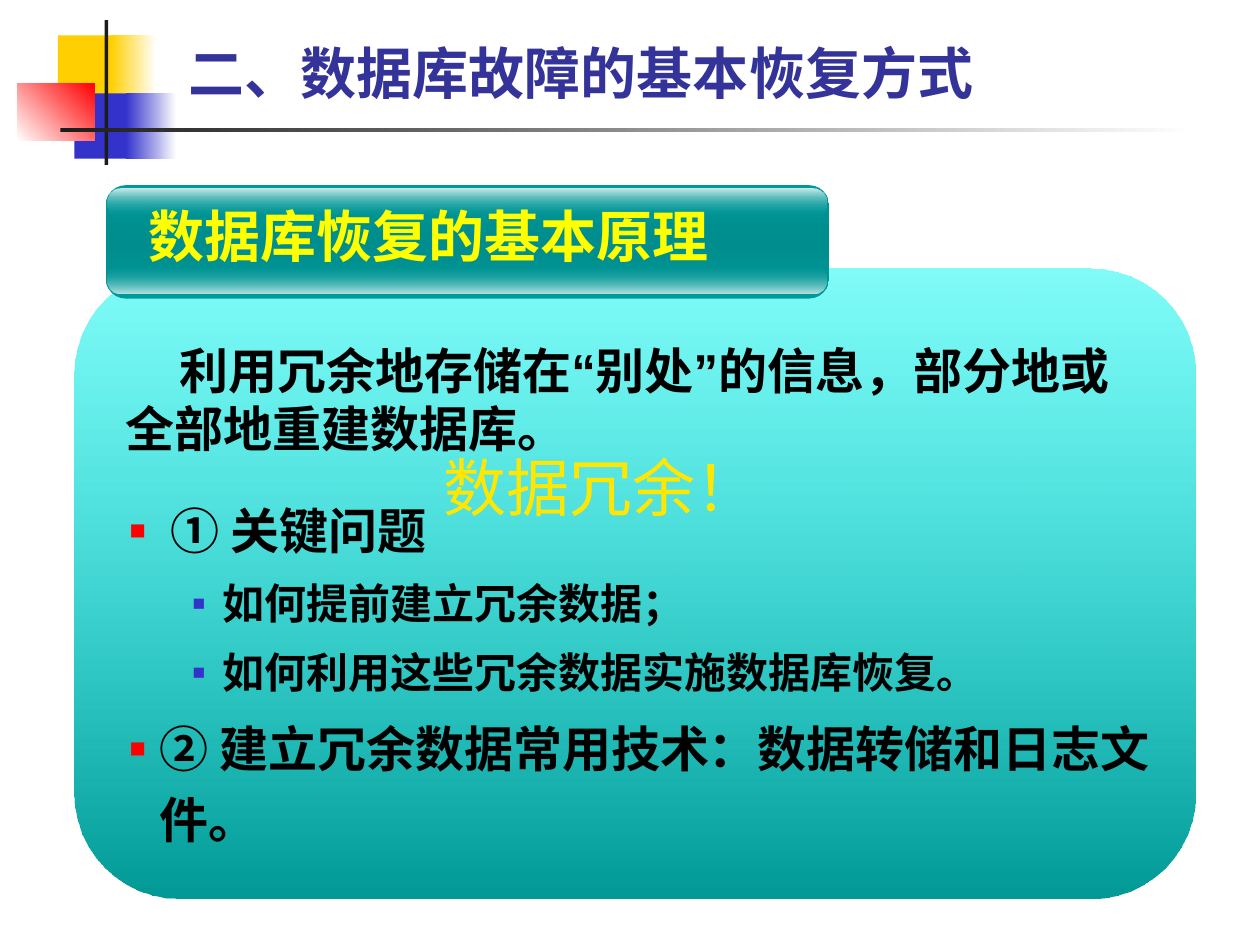
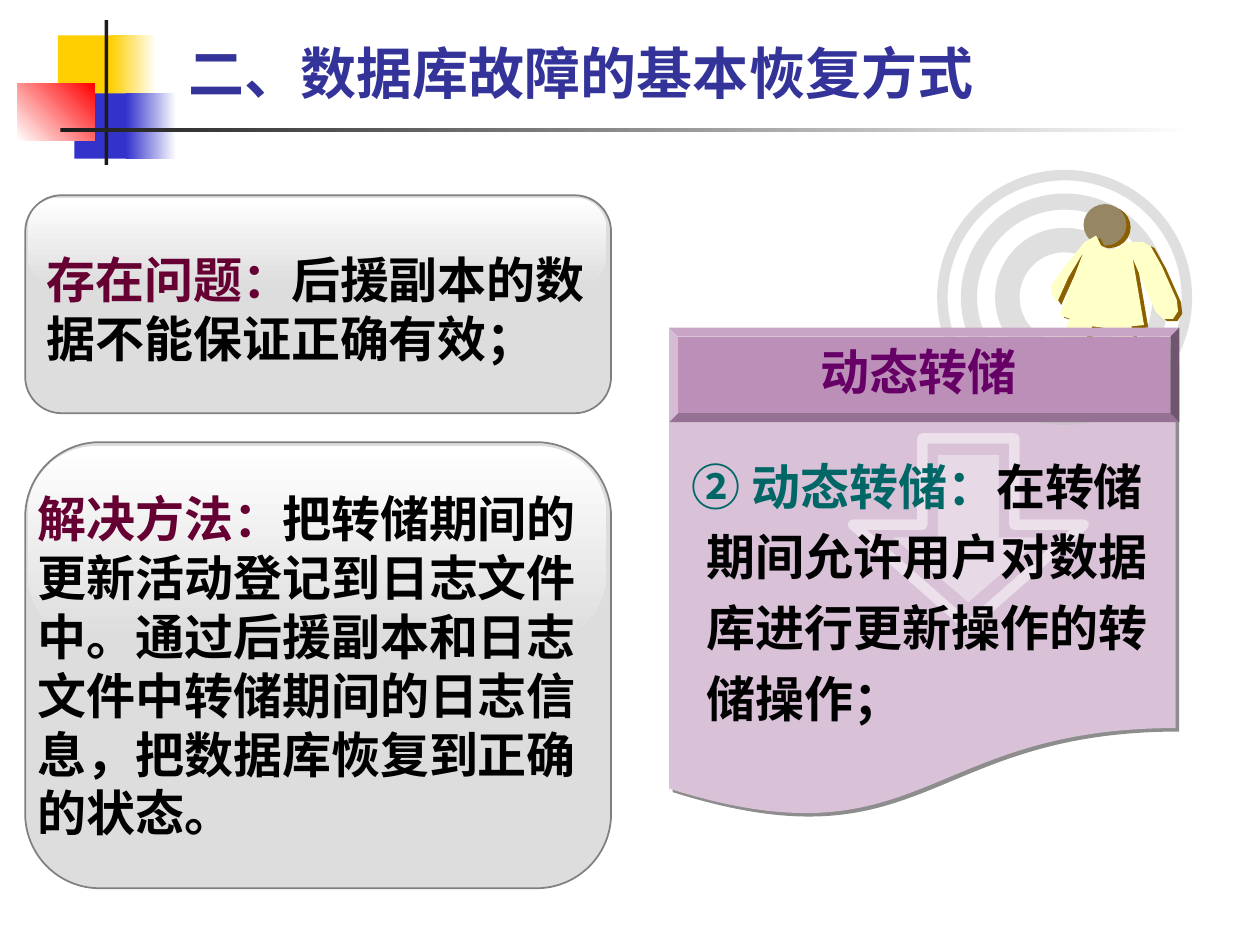
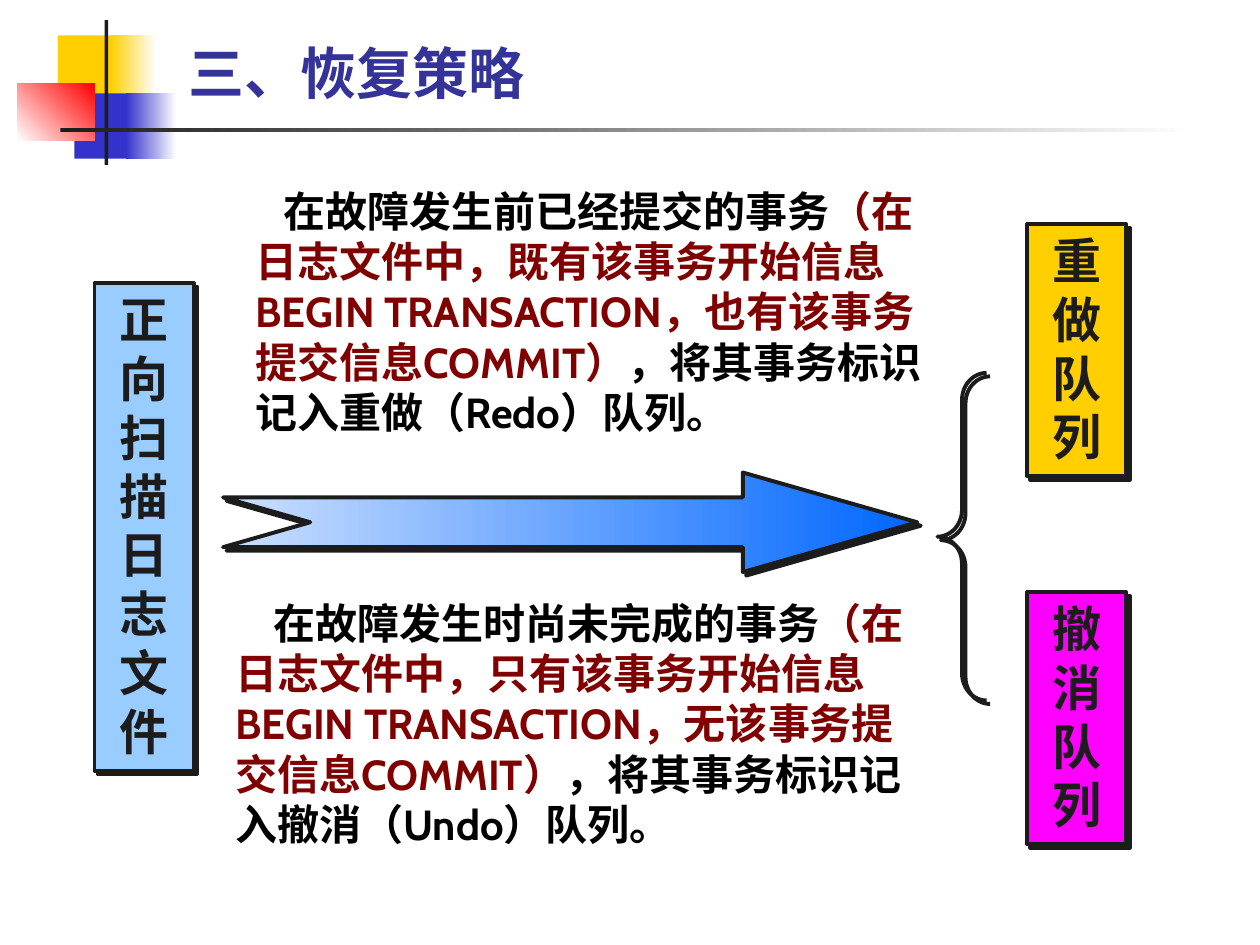
"""Build three slides on database recovery principles, dynamic dumps and strategy."""
from dataclasses import dataclass
from typing import Optional

from lxml.etree import SubElement
from pptx import Presentation
from pptx.dml.color import RGBColor
from pptx.enum.shapes import MSO_SHAPE as Form
from pptx.enum.text import MSO_ANCHOR as Anchor, PP_ALIGN as Align
from pptx.oxml.ns import qn
from pptx.util import Inches, Pt


@dataclass(frozen=True)
class Theme:
    ink: str = "1C1C1C"
    black: str = "000000"
    white: str = "FFFFFF"
    gold: str = "FFCF01"
    blue: str = "3333CC"
    red: str = "FF0000"
    title: str = "333399"
    teal: str = "009999"
    teal_middle: str = "008D8D"
    teal_low: str = "BEE5E5"
    teal_high: str = "CEEBEB"
    panel_top: str = "00F8F2"
    panel_bottom: str = "009A96"
    yellow: str = "FFFF00"
    callout: str = "FFE701"
    sheet: str = "D9C1D7"
    bevel: str = "BB8FB8"
    purple: str = "660066"
    term: str = "006666"
    label: str = "660033"
    card: str = "DDDDDD"
    card_edge: str = "808080"
    ring: str = "C0C0C0"
    head: str = "968664"
    body: str = "FFFFC8"
    figure_shade: str = "8A6000"
    scan: str = "99CCFF"
    undo: str = "FE00FE"
    arrow_start: str = "CDE1FF"
    arrow_end: str = "0066FF"
    log: str = "800000"
    sans: str = "Arial"
    text: str = "Cabin"
    heading: str = "Noto Sans CJK SC"
    title_size: int = 32
    body_size: int = 28
    detail_size: int = 24
    callout_size: int = 36


THEME = Theme()


@dataclass(frozen=True)
class Box:
    left: float
    top: float
    width: float
    height: float

    def lengths(self) -> tuple:
        return tuple(Inches(value) for value in (self.left, self.top, self.width, self.height))


@dataclass(frozen=True)
class Stop:
    color: str
    position: int = 0
    alpha: int = 100


@dataclass(frozen=True)
class Paint:
    stops: tuple
    angle: int = 0


@dataclass(frozen=True)
class Stroke:
    color: str
    width: float
    alpha: int = 100


@dataclass(frozen=True)
class Shadow:
    color: str
    alpha: int = 100
    angle: int = 45


@dataclass(frozen=True)
class Shape:
    box: Box
    form: Form = Form.RECTANGLE
    paint: Optional[Paint] = None
    stroke: Optional[Stroke] = None
    adjust: tuple = ()
    shadow: Optional[Shadow] = None
    rotation: int = 0


@dataclass(frozen=True)
class Span:
    text: str
    color: str = THEME.black
    font: str = THEME.text


@dataclass(frozen=True)
class Para:
    spans: tuple
    size: int = THEME.body_size
    bold: bool = True
    align: Align = Align.LEFT
    margin: float = 0
    indent: float = 0
    spacing: float = 1
    before: float = 0
    bullet: Optional[Stop] = None


def solid(color: str, alpha: int = 100) -> Paint:
    return Paint((Stop(color, 0, alpha),))


def fade(start: str, end: str, angle: int = 0, first: int = 100, last: int = 100) -> Paint:
    return Paint((Stop(start, 0, first), Stop(end, 100, last)), angle)


def add_alpha(color, alpha: int) -> None:
    if alpha < 100:
        SubElement(color, qn("a:alpha"), val=str(alpha * 1000))


def add_color(parent, color: str, alpha: int = 100) -> None:
    add_alpha(SubElement(parent, qn("a:srgbClr"), val=color), alpha)


def apply_paint(shape, paint: Optional[Paint]) -> None:
    properties = shape.element.spPr
    if paint is None:
        shape.fill.background()
    elif len(paint.stops) == 1:
        stop = paint.stops[0]
        shape.fill.solid()
        shape.fill.fore_color.rgb = RGBColor.from_string(stop.color)
        add_alpha(properties.find(qn("a:solidFill")).find(qn("a:srgbClr")), stop.alpha)
    else:
        shape.fill.gradient()
        gradient = properties.find(qn("a:gradFill"))
        gradient.find(qn("a:lin")).set("ang", str(paint.angle * 60000))
        stops = gradient.find(qn("a:gsLst"))
        for old_stop in list(stops):
            stops.remove(old_stop)
        for stop in paint.stops:
            entry = SubElement(stops, qn("a:gs"), pos=str(stop.position * 1000))
            add_color(entry, stop.color, stop.alpha)


def apply_stroke(shape, stroke: Optional[Stroke]) -> None:
    if stroke is None:
        shape.line.fill.background()
        return
    shape.line.color.rgb = RGBColor.from_string(stroke.color)
    shape.line.width = Pt(stroke.width)
    line = shape.element.spPr.find(qn("a:ln"))
    add_alpha(line.find(qn("a:solidFill")).find(qn("a:srgbClr")), stroke.alpha)


def apply_style(shape, paint: Optional[Paint], stroke: Optional[Stroke], shadow: Optional[Shadow]) -> None:
    shape.shadow.inherit = False
    apply_paint(shape, paint)
    apply_stroke(shape, stroke)
    if shadow:
        effects = shape.element.spPr.find(qn("a:effectLst"))
        outer = SubElement(effects, qn("a:outerShdw"), dist=str(Pt(2.8)),
                           dir=str(shadow.angle * 60000), algn="ctr", rotWithShape="0")
        add_color(outer, shadow.color, shadow.alpha)


def draw_shape(page, item: Shape):
    shape = page.shapes.add_shape(item.form, *item.box.lengths())
    for index, value in enumerate(item.adjust):
        shape.adjustments[index] = value
    shape.rotation = item.rotation
    apply_style(shape, item.paint, item.stroke, item.shadow)
    return shape


def draw_shapes(page, items: tuple) -> None:
    for item in items:
        draw_shape(page, item)


def add_bullet(properties, bullet: Stop) -> None:
    add_color(SubElement(properties, qn("a:buClr")), bullet.color)
    SubElement(properties, qn("a:buSzPct"), val=str(bullet.position * 1000))
    SubElement(properties, qn("a:buFont"), typeface=THEME.sans)
    SubElement(properties, qn("a:buChar"), char="■")


def fill_paragraph(paragraph, para: Para) -> None:
    paragraph.alignment = para.align
    paragraph.line_spacing = para.spacing
    if para.before:
        paragraph.space_before = Pt(para.before)
    properties = paragraph._p.get_or_add_pPr()
    properties.set("marL", str(Inches(para.margin)))
    properties.set("indent", str(Inches(para.indent)))
    if para.bullet:
        add_bullet(properties, para.bullet)
    for span in para.spans:
        run = paragraph.add_run()
        run.text = span.text
        run.font.size = Pt(para.size)
        run.font.bold = para.bold
        run.font.color.rgb = RGBColor.from_string(span.color)
        run.font.name = span.font
        SubElement(run._r.get_or_add_rPr(), qn("a:ea"), typeface=span.font)


def write(shape, paras: tuple, wrap: bool = True, anchor: Anchor = Anchor.TOP) -> None:
    frame = shape.text_frame
    frame.word_wrap = wrap
    frame.vertical_anchor = anchor
    for index, para in enumerate(paras):
        paragraph = frame.add_paragraph() if index else frame.paragraphs[0]
        fill_paragraph(paragraph, para)


def draw_text(page, box: Box, *paras: Para, wrap: bool = True, anchor: Anchor = Anchor.TOP) -> None:
    write(page.shapes.add_textbox(*box.lengths()), paras, wrap, anchor)


def centred(text: str, color: str, size: int = THEME.body_size, bold: bool = True) -> Para:
    return Para((Span(text, color, THEME.sans),), size, bold, Align.CENTER)


def round_box(left: float, top: float, width: float, height: float, adjust: float,
              paint: Paint, stroke: Optional[Stroke] = None) -> Shape:
    return Shape(Box(left, top, width, height), Form.ROUNDED_RECTANGLE, paint, stroke, (adjust,))


EMBLEM = (
    Shape(Box(0.46, 0.28, 0.48, 0.52), paint=solid(THEME.gold)),
    Shape(Box(0.88, 0.28, 0.36, 0.52), paint=fade(THEME.gold, THEME.white)),
    Shape(Box(0.59, 0.74, 0.46, 0.52), paint=solid(THEME.blue)),
    Shape(Box(1, 0.74, 0.4, 0.52), paint=fade(THEME.blue, THEME.white)),
    Shape(Box(0.14, 0.66, 0.61, 0.46), paint=fade(THEME.white, THEME.red, 315)),
    Shape(Box(0.83, 0.16, 0.03, 1.15), paint=solid(THEME.ink)),
    Shape(Box(0.48, 1.02, 9, 0.03), paint=fade(THEME.ink, THEME.white)),
)


def add_page(deck, title: str):
    page = deck.slides.add_slide(deck.slide_layouts[6])
    draw_shapes(page, EMBLEM)
    heading = Para((Span(title, THEME.title, THEME.heading),), THEME.title_size)
    draw_text(page, Box(1.4, 0.36, 7.38, 0.43), heading, anchor=Anchor.MIDDLE)
    return page


def bullet_para(text: str, level: int, first: bool = False) -> Para:
    size, bullet = ((THEME.body_size, Stop(THEME.red, 55)) if level == 1
                    else (THEME.detail_size, Stop(THEME.blue, 50)))
    return Para((Span(text),), size, margin=level * 0.5, indent=-0.24, spacing=1.2,
                before=0 if first else size * 0.2, bullet=bullet)


def build_principle(deck) -> None:
    page = add_page(deck, "二、数据库故障的基本恢复方式")
    banner = Paint((Stop(THEME.teal), Stop(THEME.teal_middle, 50), Stop(THEME.teal, 100)), 90)
    draw_shapes(page, (
        round_box(1, 2.05, 7.19, 1.18, 0.167, solid(THEME.white, 30)),
        round_box(0.59, 2.13, 8.9, 5, 0.167, fade(THEME.panel_top, THEME.panel_bottom, 90, first=50)),
        round_box(0.84, 1.47, 5.74, 0.9, 0.175, banner),
        round_box(0.85, 2.11, 5.71, 0.22, 0.5, fade(THEME.teal, THEME.teal_low, 90, first=0)),
        round_box(0.85, 1.5, 5.71, 0.22, 0.5, fade(THEME.teal_high, THEME.teal, 90, last=0)),
    ))
    draw_text(page, Box(1.07, 1.55, 4.66, 0.63),
              centred("数据库恢复的基本原理", THEME.yellow, THEME.title_size), wrap=False)
    principle = (
        Span("利用冗余地存储在"),
        Span("“", font=THEME.sans),
        Span("别处"),
        Span("”", font=THEME.sans),
        Span("的信息，部分地或全部地重建数据库。"),
    )
    draw_text(page, Box(0.9, 2.65, 8.03, 1.03), Para(principle, indent=0.43))
    draw_text(page, Box(2.72, 3.51, 4.1, 1.18),
              centred("数据冗余！", THEME.callout, THEME.callout_size, False), wrap=False)
    draw_text(page, Box(0.67, 3.83, 8.66, 2.99),
              bullet_para(" ① 关键问题", 1, first=True),
              bullet_para("如何提前建立冗余数据；", 2),
              bullet_para("如何利用这些冗余数据实施数据库恢复。", 2),
              bullet_para("② 建立冗余数据常用技术：数据转储和日志文件。", 1))


BODY_OUTLINE = (
    (8.93, 1.92), (8.88, 1.97), (8.8, 1.98), (8.74, 1.95), (8.7, 1.87), (8.61, 1.92),
    (8.47, 2.09), (8.34, 2.27), (8.35, 2.34), (8.39, 2.4), (8.48, 2.2), (8.6, 2), (8.41, 2.5),
    (8.49, 2.53), (8.3, 2.96), (8.28, 3.04), (8.31, 3.1), (8.38, 3.1), (8.45, 3.02),
    (8.56, 2.8), (8.67, 2.59), (8.82, 2.61), (8.86, 2.85), (8.9, 3.07), (8.94, 3.15),
    (9, 3.18), (9.05, 3.14), (9.06, 3.05), (8.98, 2.59), (9.08, 2.58), (8.99, 2.05),
    (9.17, 2.47), (9.23, 2.53), (9.31, 2.53), (9.35, 2.47), (9.34, 2.38), (9.22, 2.11),
    (9.13, 1.95), (9.07, 1.92),
)


def draw_figure(page) -> None:
    shade = Shadow(THEME.figure_shade, angle=30)
    draw_shape(page, Shape(Box(8.6, 1.62, 0.34, 0.33), Form.OVAL, solid(THEME.head), shadow=shade))
    points = [(Inches(left), Inches(top)) for left, top in BODY_OUTLINE]
    builder = page.shapes.build_freeform(*points[0])
    builder.add_line_segments(points[1:], close=True)
    apply_style(builder.convert_to_shape(), solid(THEME.body), None, shade)


def draw_card(page, top: float, height: float, gloss: Box, text_box: Box, label: str, detail: str) -> None:
    draw_shapes(page, (
        round_box(0.2, top, 4.65, height, 0.167, solid(THEME.card), Stroke(THEME.card_edge, 1)),
        Shape(gloss, Form.ROUNDED_RECTANGLE, fade(THEME.white, THEME.card, 90), adjust=(0.348,)),
    ))
    draw_text(page, text_box, Para((Span(label, THEME.label), Span(detail))))


def build_dynamic_dump(deck) -> None:
    page = add_page(deck, "二、数据库故障的基本恢复方式")
    draw_shapes(page, (
        Shape(Box(5.31, 2.86, 4.02, 3.64), Form.FLOWCHART_DOCUMENT, solid(THEME.sheet),
              shadow=Shadow(THEME.ink, 50)),
        Shape(Box(6.77, 3.48, 1.83, 1.49), Form.UP_ARROW, stroke=Stroke(THEME.white, 6, 50),
              adjust=(0.399, 0.541), rotation=180),
        Shape(Box(7.09, 3.61, 1.19, 1.17), Form.UP_ARROW, solid(THEME.white, 39),
              adjust=(0.407, 0.44), rotation=180),
    ))
    for diameter, width in ((1.94, 6), (1.52, 9.25), (0.91, 14)):
        ring = Box(8.45 - diameter / 2, 2.36 - diameter / 2, diameter, diameter)
        draw_shape(page, Shape(ring, Form.OVAL, stroke=Stroke(THEME.ring, width, 50)))
    draw_figure(page)
    draw_shape(page, Shape(Box(5.31, 2.6, 4.05, 0.75), Form.BEVEL, solid(THEME.bevel), adjust=(0.096,)))
    draw_text(page, Box(5.31, 2.66, 3.96, 0.57), centred("动态转储", THEME.purple))
    definition = (Span("② 动态转储：", THEME.term),
                  Span("在转储期间允许用户对数据库进行更新操作的转储操作；"))
    draw_text(page, Box(5.39, 3.48, 3.86, 2.34),
              Para(definition, margin=0.12, indent=-0.12, spacing=1.2))
    draw_card(page, 1.55, 1.73, Box(0.22, 1.57, 4.59, 0.7), Box(0.27, 1.93, 4.65, 1.03),
              "存在问题：", "后援副本的数据不能保证正确有效；")
    draw_card(page, 3.51, 3.54, Box(0.22, 3.54, 4.59, 1.55), Box(0.2, 3.83, 4.65, 2.9),
              "解决方法：",
              "把转储期间的更新活动登记到日志文件中。通过后援副本和日志文件中转储期间的日志信息，"
              "把数据库恢复到正确的状态。")


def draw_rule(page, box: Box, indent: float, subject: str, condition: str, action: str) -> None:
    spans = (Span(subject), Span(condition, THEME.log), Span(action))
    draw_text(page, box, Para(spans, THEME.detail_size, indent=indent))


def build_strategy(deck) -> None:
    page = add_page(deck, "三、恢复策略")
    outline = Stroke(THEME.ink, 2.25)
    shadow = Shadow(THEME.ink)
    for box, color, text in (
        (Box(0.75, 2.25, 0.79, 3.87), THEME.scan, "正向扫描日志文件"),
        (Box(8.15, 1.78, 0.79, 2), THEME.gold, "重做队列"),
        (Box(8.15, 4.7, 0.79, 2), THEME.undo, "撤消队列"),
    ):
        block = draw_shape(page, Shape(box, paint=solid(color), stroke=outline, shadow=shadow))
        write(block, (centred(text, THEME.ink),))
    draw_shapes(page, (
        Shape(Box(7.44, 2.96, 0.39, 2.6), Form.LEFT_BRACE, stroke=outline,
              adjust=(0.55, 0.5), shadow=shadow),
        Shape(Box(1.77, 3.75, 5.51, 0.79), Form.NOTCHED_RIGHT_ARROW,
              fade(THEME.arrow_start, THEME.arrow_end), outline, (0.5, 1.752), shadow),
    ))
    draw_rule(page, Box(1.93, 1.42, 5.59, 2.1), 0.22, "在故障发生前已经提交的事务",
              "（在日志文件中，既有该事务开始信息BEGIN TRANSACTION，也有该事务提交信息COMMIT）",
              "，将其事务标识记入重做（Redo）队列。")
    draw_rule(page, Box(1.77, 4.69, 5.67, 2.1), 0.3, "在故障发生时尚未完成的事务",
              "（在日志文件中，只有该事务开始信息BEGIN TRANSACTION，无该事务提交信息COMMIT）",
              "，将其事务标识记入撤消（Undo）队列。")


def main() -> None:
    deck = Presentation()
    deck.slide_width, deck.slide_height = Inches(10), Inches(7.5)
    for build in (build_principle, build_dynamic_dump, build_strategy):
        build(deck)
    deck.save("out.pptx")


if __name__ == "__main__":
    main()
